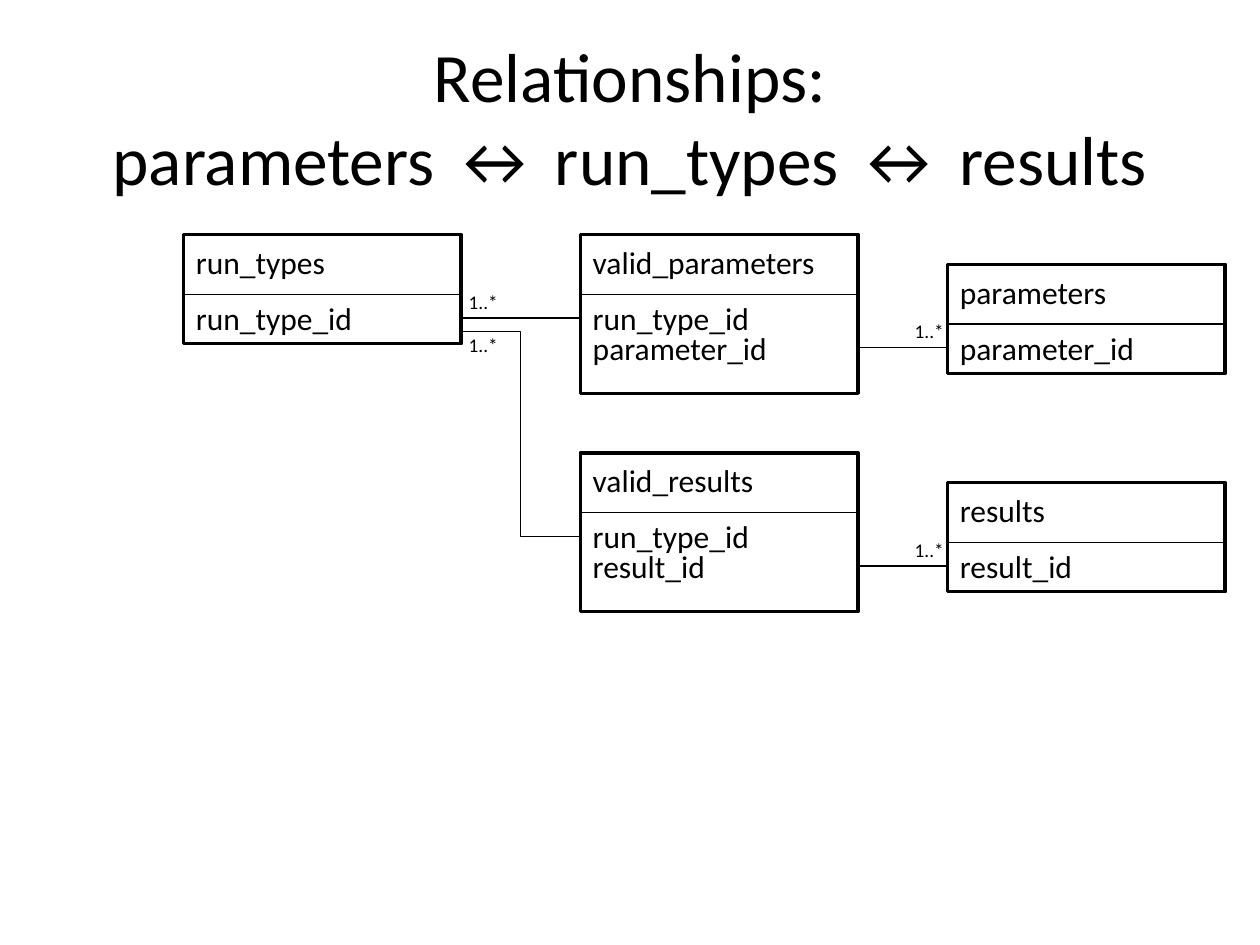
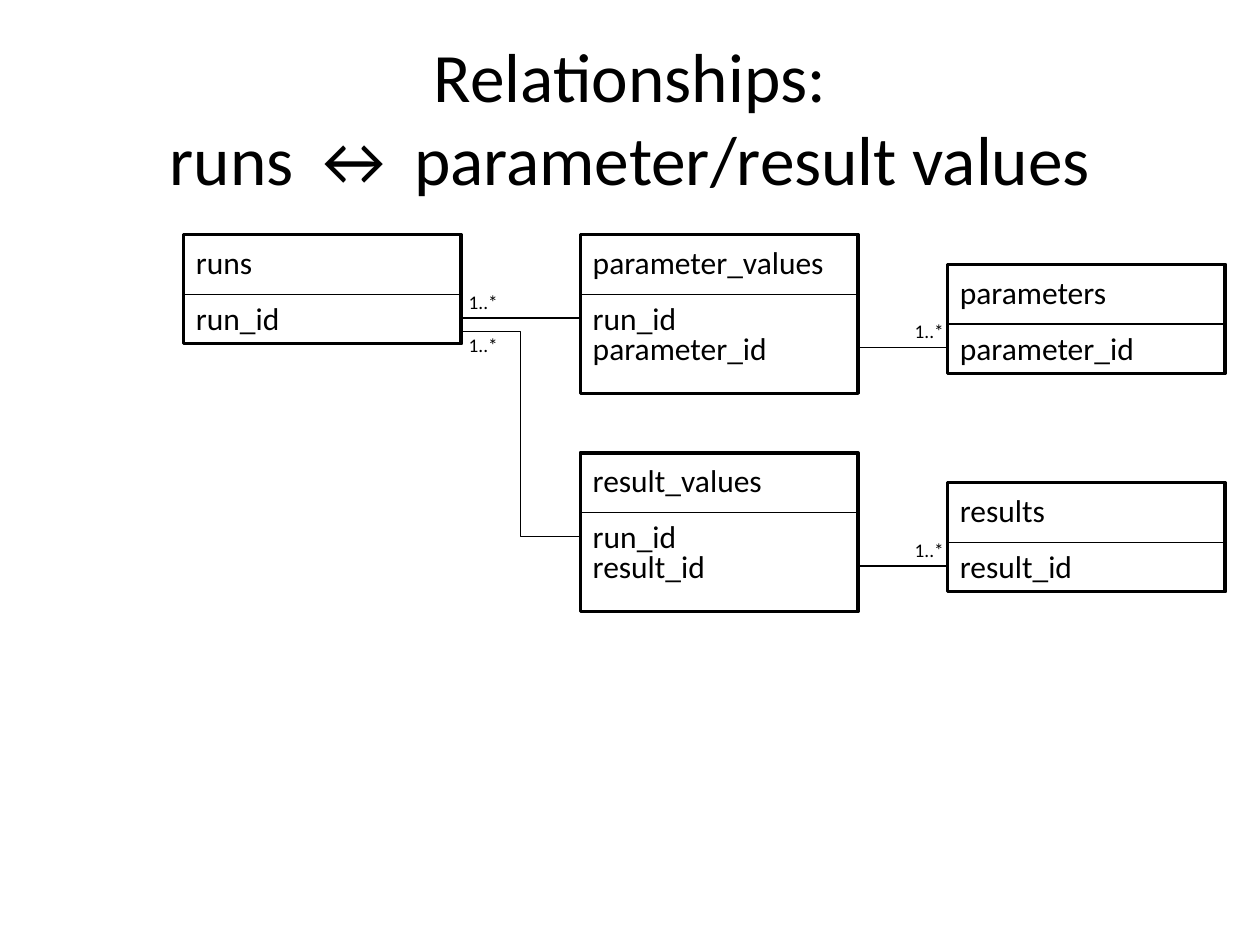
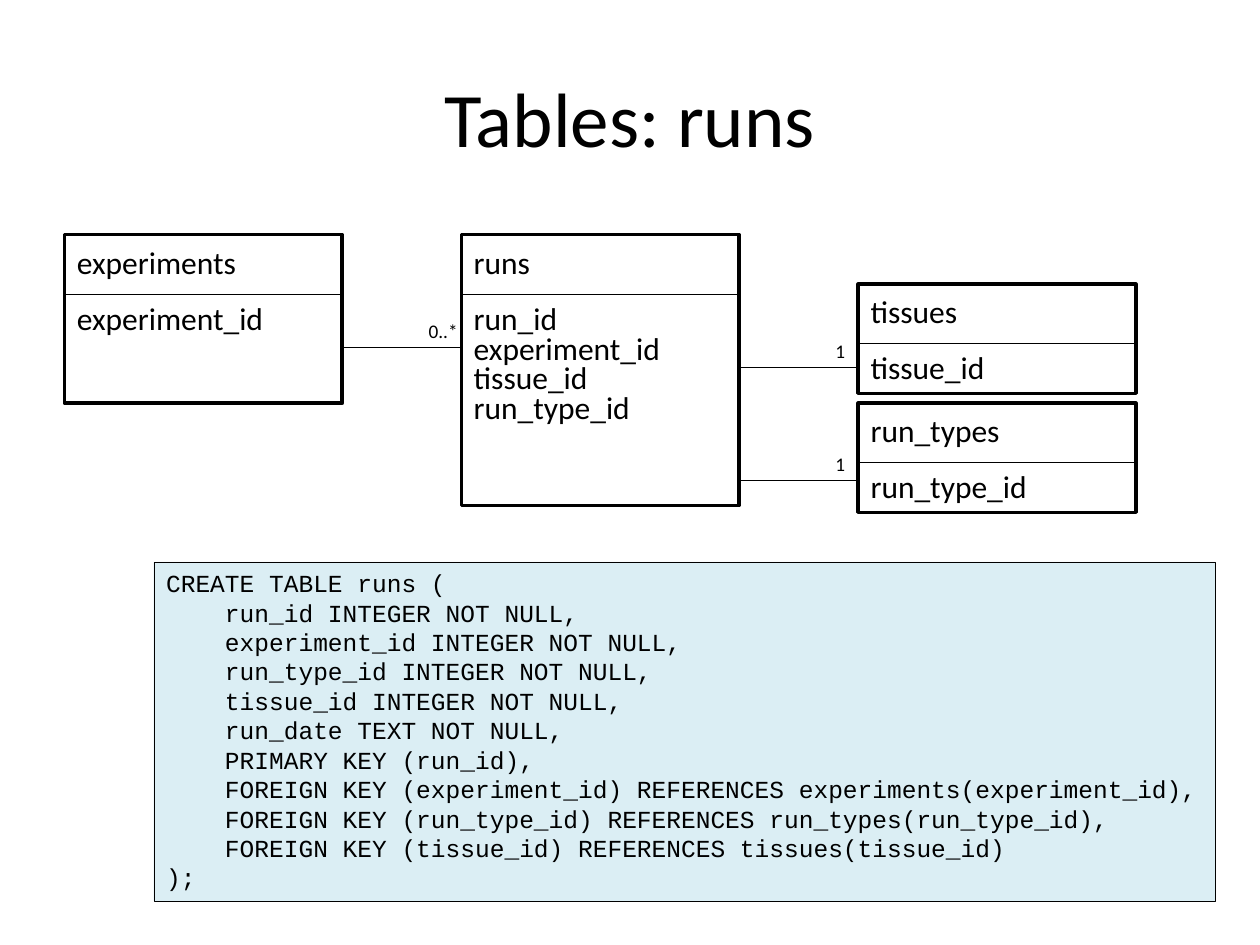
from dataclasses import dataclass

from lxml.etree import SubElement
from pptx import Presentation
from pptx.dml.color import RGBColor
from pptx.enum.shapes import MSO_CONNECTOR as Route, MSO_SHAPE as Preset
from pptx.enum.text import MSO_ANCHOR as Anchor, MSO_AUTO_SIZE as AutoSize, PP_ALIGN as Align
from pptx.oxml.ns import qn
from pptx.util import Cm, Pt

BLACK = RGBColor(0x00, 0x00, 0x00)
PALE_BLUE = RGBColor(0xDB, 0xEE, 0xF4)
BODY_FONT = "Calibri"
CODE_FONT = "Courier New"

ENTITY_WIDTH = 5.6
HEADER_HEIGHT = 1.2
NAME_OFFSET = 0.04
FIELD_OFFSET = 1.17
FIELD_STEP = 0.6
FIELD_AXIS = 1.68
TEXT_HEIGHT = 1.03
LABEL_HEIGHT = 0.73
LABEL_RISE = 0.69
TOP = 4.73

CREATE_RUNS = """CREATE TABLE runs (
    run_id INTEGER NOT NULL,
    experiment_id INTEGER NOT NULL,
    run_type_id INTEGER NOT NULL,
    tissue_id INTEGER NOT NULL,
    run_date TEXT NOT NULL,
    PRIMARY KEY (run_id),
    FOREIGN KEY (experiment_id) REFERENCES experiments(experiment_id),
    FOREIGN KEY (run_type_id) REFERENCES run_types(run_type_id),
    FOREIGN KEY (tissue_id) REFERENCES tissues(tissue_id)
);"""


@dataclass
class Entity:
    left: float
    top: float

    @property
    def right(self):
        return self.left + ENTITY_WIDTH

    def axis(self, field=0):
        return self.top + FIELD_AXIS + field * FIELD_STEP


def add_text(paragraph, text, size, font=BODY_FONT):
    run = paragraph.add_run()
    run.text = text
    run.font.size = Pt(size)
    run.font.name = font
    run.font.color.rgb = BLACK


def add_label(slide, left, top, width, height, text, size):
    label = slide.shapes.add_textbox(Cm(left), Cm(top), Cm(width), Cm(height))
    label.text_frame.word_wrap = False
    add_text(label.text_frame.paragraphs[0], text, size)
    return label


def add_frame(slide, left, top, width, height, weight):
    frame = slide.shapes.add_shape(Preset.RECTANGLE, Cm(left), Cm(top), Cm(width), Cm(height))
    frame.shadow.inherit = False
    frame.fill.background()
    frame.line.color.rgb = BLACK
    frame.line.width = Pt(weight)
    return frame


def add_line(slide, start, end, route=Route.STRAIGHT):
    line = slide.shapes.add_connector(route, *(Cm(v) for v in (*start, *end)))
    line.line.color.rgb = BLACK
    line.line.width = Pt(0.75)
    SubElement(line._element.spPr, qn("a:effectLst"))


def add_entity(slide, left, top, height, name, *fields):
    entity = Entity(left, top)
    add_frame(slide, left, top, ENTITY_WIDTH, height, 2)
    divider = top + HEADER_HEIGHT
    add_line(slide, (left, divider), (entity.right, divider))
    rows = [(name, NAME_OFFSET)]
    rows += [(field, FIELD_OFFSET + i * FIELD_STEP) for i, field in enumerate(fields)]
    for text, offset in rows:
        row = add_label(slide, left, top + offset, ENTITY_WIDTH, TEXT_HEIGHT, text, 18)
        row.text_frame.word_wrap = True
    return entity


def add_multiplicity(slide, left, top, text):
    width = 1.12 if len(text) > 1 else 0.71
    add_label(slide, left, top, width, LABEL_HEIGHT, text, 11)


def link(slide, source, target, y, multiplicity, label_left):
    add_line(slide, (source.right, y), (target.left, y))
    add_multiplicity(slide, label_left, y - LABEL_RISE, multiplicity)


def add_titled_slide(prs, size, *lines):
    slide = prs.slides.add_slide(prs.slide_layouts[5])
    title = slide.shapes.title
    title.left, title.top, title.width, title.height = Cm(1.27), Cm(0.76), Cm(22.86), Cm(3.18)
    frame = title.text_frame
    frame.auto_size = AutoSize.NONE
    frame.word_wrap = True
    frame.vertical_anchor = Anchor.MIDDLE
    heading = frame.paragraphs[0]
    heading.alignment = Align.CENTER
    for i, line in enumerate(lines):
        if i:
            heading.add_line_break()
            SubElement(heading._p.findall(qn("a:br"))[-1], qn("a:rPr"), sz=str(round(size * 100)))
        add_text(heading, line, size)
    return slide


def build_relationship_slide(prs, subject, owner, owner_id, parameter_join, result_join):
    slide = add_titled_slide(prs, 39.6, "Relationships:", subject)
    hub = add_entity(slide, 3.7, TOP, 2.2, owner, owner_id)
    branches = (
        (TOP, parameter_join, "parameters", "parameter_id"),
        (9.13, result_join, "results", "result_id"),
    )
    joins = []
    for top, join_name, leaf_name, leaf_id in branches:
        join = add_entity(slide, 11.7, top, 3.2, join_name, owner_id, leaf_id)
        leaf = add_entity(slide, 19.1, top + FIELD_STEP, 2.2, leaf_name, leaf_id)
        link(slide, join, leaf, leaf.axis(), "1..*", leaf.left - 0.91)
        joins.append(join)
    parameter_values, result_values = joins
    label_left = hub.right - 0.1
    link(slide, hub, parameter_values, hub.axis(), "1..*", label_left)
    exit_y = hub.axis() + 0.27
    add_line(slide, (hub.right, exit_y), (result_values.left, result_values.axis()), Route.ELBOW)
    add_multiplicity(slide, label_left, exit_y - 0.08, "1..*")


def add_code(slide, left, top, width, height, code):
    listing = add_frame(slide, left, top, width, height, 0.25)
    listing.fill.solid()
    listing.fill.fore_color.rgb = PALE_BLUE
    frame = listing.text_frame
    frame.word_wrap = False
    frame.vertical_anchor = Anchor.TOP
    for i, line in enumerate(code.splitlines()):
        paragraph = frame.add_paragraph() if i else frame.paragraphs[0]
        paragraph.alignment = Align.LEFT
        add_text(paragraph, line, 14, CODE_FONT)


def build_runs_slide(prs):
    slide = add_titled_slide(prs, 44, "Tables: runs")
    experiments = add_entity(slide, 1.3, TOP, 3.4, "experiments", "experiment_id")
    runs = add_entity(slide, 9.3, TOP, 5.46, "runs",
                      "run_id", "experiment_id", "tissue_id", "run_type_id")
    tissues = add_entity(slide, 17.3, 5.73, 2.2, "tissues", "tissue_id")
    run_types = add_entity(slide, 17.3, 8.13, 2.2, "run_types", "run_type_id")
    link(slide, experiments, runs, runs.axis(1), "0..*", runs.left - 0.91)
    link(slide, runs, tissues, tissues.axis(), "1", tissues.left - 0.71)
    link(slide, runs, run_types, run_types.axis() - 0.13, "1", run_types.left - 0.71)
    add_code(slide, 3.1, 11.33, 21.4, 6.83, CREATE_RUNS)


def main():
    prs = Presentation()
    prs.slide_width, prs.slide_height = Cm(25.4), Cm(19.05)
    build_relationship_slide(prs, "parameters ↔ run_types ↔ results", "run_types",
                             "run_type_id", "valid_parameters", "valid_results")
    build_relationship_slide(prs, "runs ↔ parameter/result values", "runs",
                             "run_id", "parameter_values", "result_values")
    build_runs_slide(prs)
    prs.save("out.pptx")


if __name__ == "__main__":
    main()
